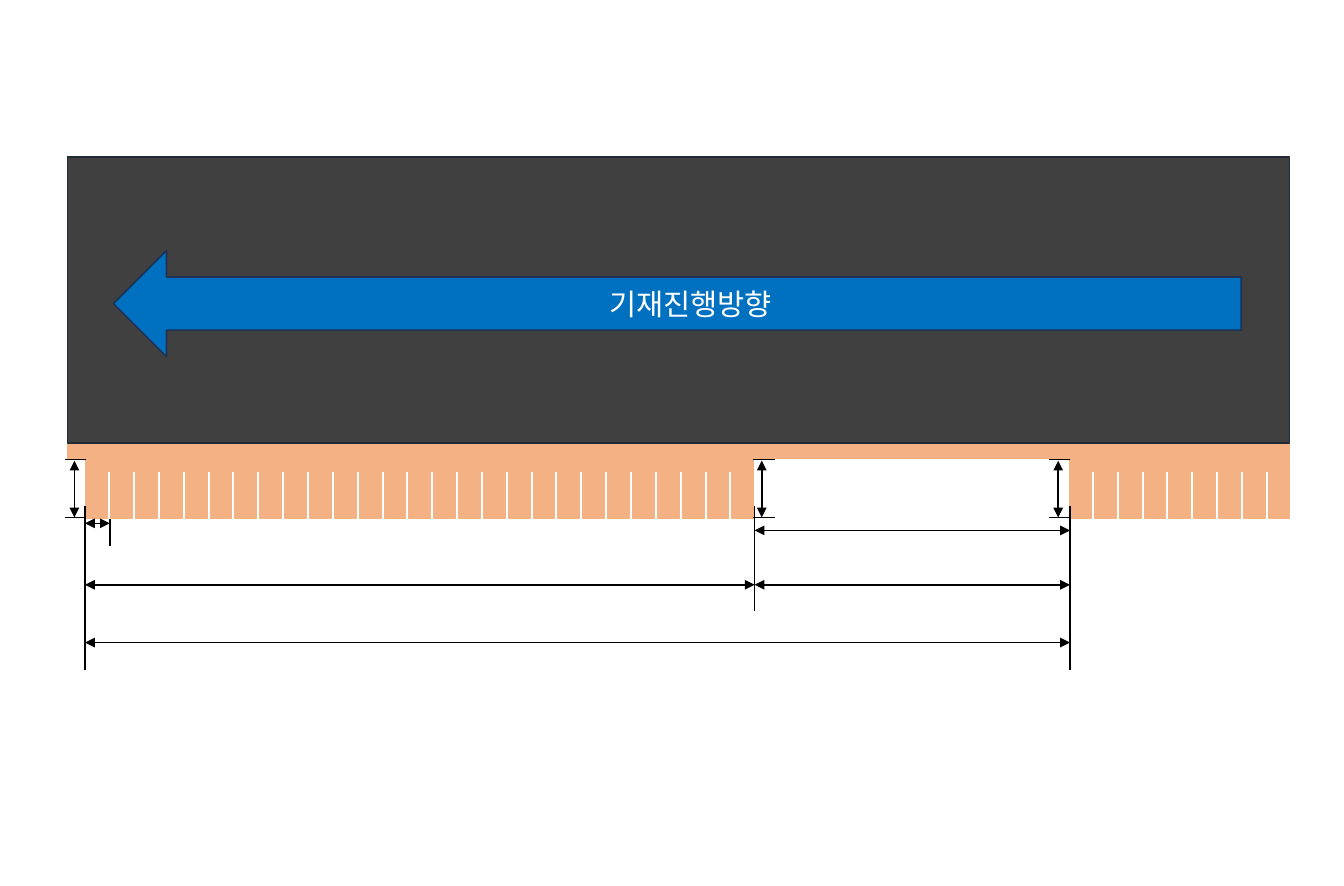
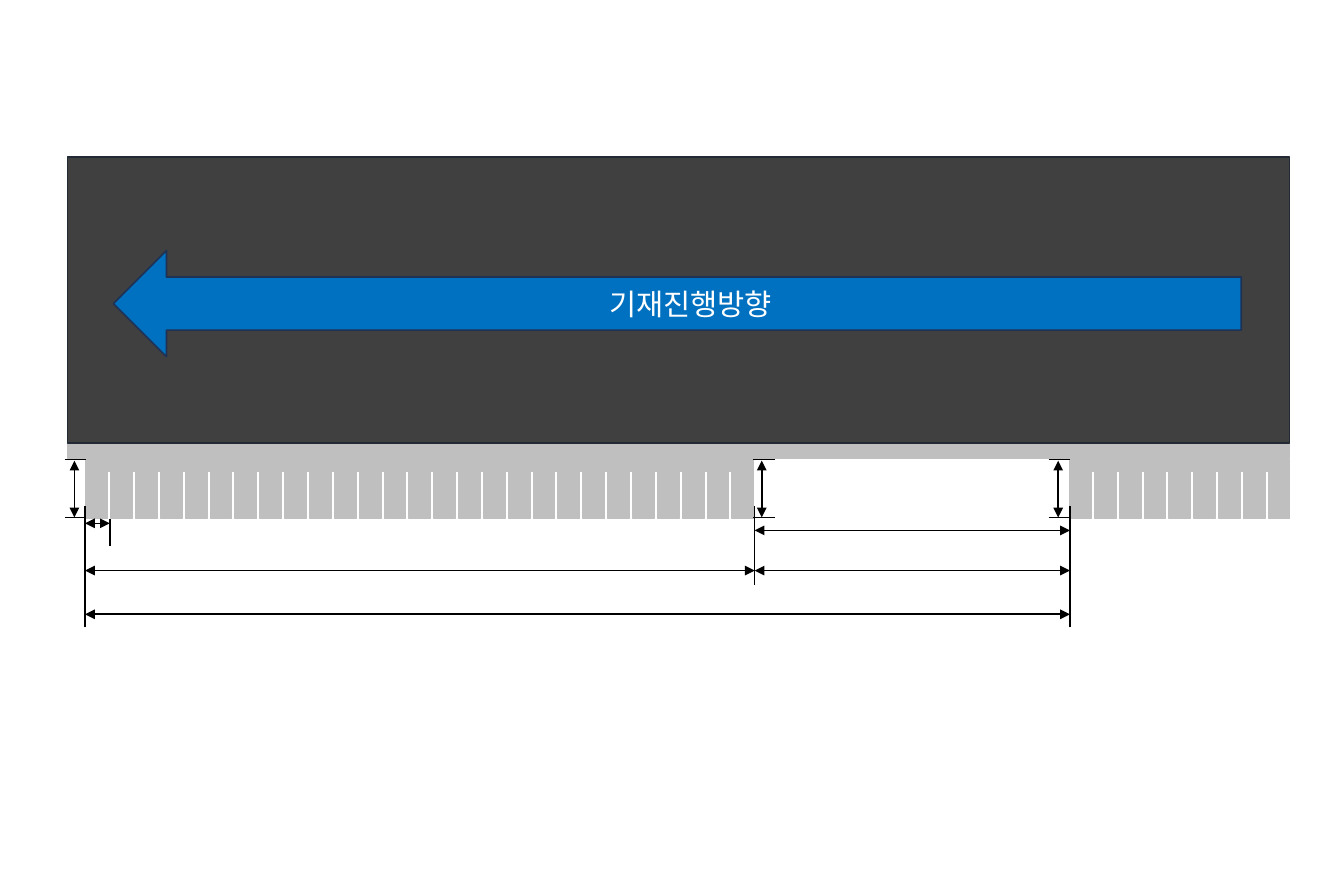
from lxml.etree import SubElement
from pptx import Presentation
from pptx.dml.color import RGBColor
from pptx.enum.shapes import MSO_CONNECTOR, MSO_SHAPE
from pptx.enum.text import MSO_ANCHOR, PP_ALIGN
from pptx.oxml.ns import qn
from pptx.util import Inches, Pt

COPPER = RGBColor(0xF4, 0xB1, 0x83)
SILVER = RGBColor(0xBF, 0xBF, 0xBF)
CHARCOAL = RGBColor(0x40, 0x40, 0x40)
NAVY_GREY = RGBColor(0x22, 0x2A, 0x35)
BLUE = RGBColor(0x00, 0x70, 0xC0)
NAVY = RGBColor(0x1E, 0x32, 0x56)
BLACK = RGBColor(0, 0, 0)
WHITE = RGBColor(0xFF, 0xFF, 0xFF)

DIRECTION = "기재진행방향"
LABEL_FORMAT = {"name": "Calibri", "size": Pt(18)}

# One entry per slide: foil colour, heights of the span and total dimensions,
# lower ends of the middle and outer guide lines
SLIDES = [
    {"foil": COPPER, "span": 4.95, "total": 5.44, "middle_end": 5.17, "outer_end": 5.67},
    {"foil": SILVER, "span": 4.83, "total": 5.2, "middle_end": 4.95, "outer_end": 5.31},
]

# Electrode and tab geometry, in inches
LEFT, WIDTH = 0.57, 10.35
TOOTH_TOP, TOOTH_WIDTH, TOOTH_HEIGHT = 3.89, 0.18, 0.5
TOOTH_END = 4.38
START, GAP_START, GAP_END = 0.72, 6.39, 9.06
COMBS = [  # first tooth, last tooth, count
    (0.73, 6.2, 27),
    (9.06, 10.74, 9),
]
COMB_BRIDGES = [(0.8, 5.53), (9.19, 1.56)]
HEIGHT_MARKS = [  # tick start, tick end, arrow position
    (0.55, 0.73, 0.63),
    (6.38, 6.56, 6.45),
    (8.88, 9.06, 8.96),
]


def add_block(page, kind, box, fill, outline):
    shape = page.shapes.add_shape(kind, *map(Inches, box))
    shape.shadow.inherit = False
    shape.fill.solid()
    shape.fill.fore_color.rgb = fill
    shape.line.color.rgb = outline
    shape.line.width = Pt(1)
    return shape


def add_line(page, start, end, arrows=False):
    line = page.shapes.add_connector(
        MSO_CONNECTOR.STRAIGHT, *map(Inches, start + end))
    line.line.color.rgb = BLACK
    line.line.width = Pt(1)
    if arrows:
        for tag in ("a:headEnd", "a:tailEnd"):
            SubElement(line.line._get_or_add_ln(), qn(tag), type="triangle")
    SubElement(line._element.spPr, qn("a:effectLst"))


def add_electrode(page, foil):
    rectangle = MSO_SHAPE.RECTANGLE
    add_block(page, rectangle, (LEFT, 3.76, WIDTH, 0.12), foil, foil)
    add_block(page, rectangle, (LEFT, 1.33, WIDTH, 2.42), CHARCOAL, NAVY_GREY)

    # Tab teeth and the strips that join them
    for first, last, count in COMBS:
        pitch = (last - first) / (count - 1)
        for index in range(count):
            box = (first + index * pitch, TOOTH_TOP, TOOTH_WIDTH, TOOTH_HEIGHT)
            add_block(page, rectangle, box, foil, foil)
    for left, width in COMB_BRIDGES:
        add_block(page, rectangle, (left, 3.85, width, 0.14), foil, foil)


def add_direction(page):
    arrow = add_block(page, MSO_SHAPE.LEFT_ARROW, (0.96, 2.12, 9.55, 0.9), BLUE, NAVY)
    arrow.text_frame.vertical_anchor = MSO_ANCHOR.MIDDLE
    para = arrow.text_frame.paragraphs[0]
    para.alignment = PP_ALIGN.CENTER
    span = para.add_run()
    span.text = DIRECTION
    for name, value in LABEL_FORMAT.items():
        setattr(span.font, name, value)
    span.font.color.rgb = WHITE


def add_dimensions(page, layout):
    # Tooth heights
    for left, right, middle in HEIGHT_MARKS:
        for height in (TOOTH_TOP, TOOTH_END):
            add_line(page, (left, height), (right, height))
        add_line(page, (middle, TOOTH_TOP + 0.01), (middle, TOOTH_END), arrows=True)

    # Guide lines
    for position, top, bottom in [
        (START, 4.28, layout["outer_end"]),
        (0.93, 4.39, 4.62),
        (GAP_START, 4.28, layout["middle_end"]),
        (GAP_END, 4.28, layout["outer_end"]),
    ]:
        add_line(page, (position, bottom), (position, top))

    # Widths: pitch, gap, tabbed span, untabbed span, total
    for left, right, height in [
        (START, 0.93, 4.43),
        (GAP_START, GAP_END, 4.49),
        (START, GAP_START, layout["span"]),
        (GAP_START, GAP_END, layout["span"]),
        (START, GAP_END, layout["total"]),
    ]:
        add_line(page, (left, height), (right, height), arrows=True)


def main():
    deck = Presentation()
    deck.slide_width, deck.slide_height = Inches(11.38), Inches(7.5)
    for layout in SLIDES:
        page = deck.slides.add_slide(deck.slide_layouts[6])
        add_electrode(page, layout["foil"])
        add_direction(page)
        add_dimensions(page, layout)
    deck.save("out.pptx")


if __name__ == "__main__":
    main()
